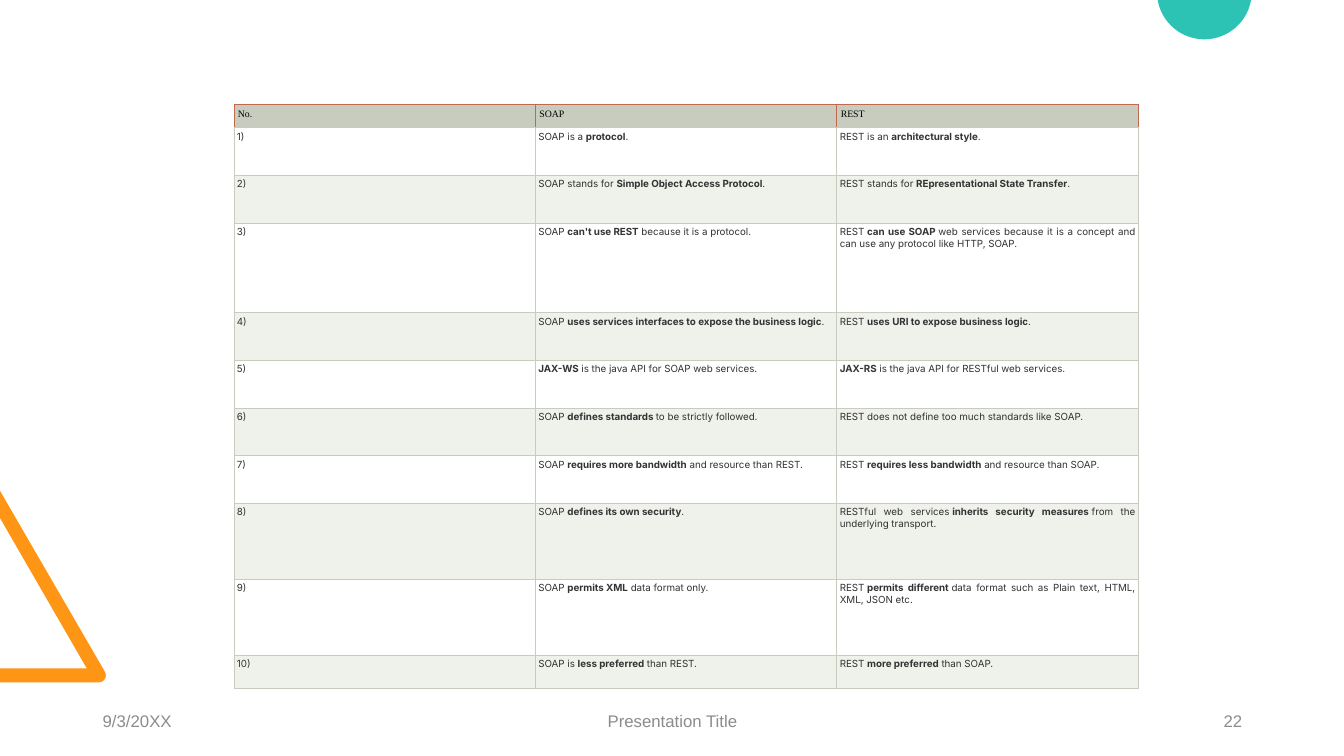
from dataclasses import dataclass
from math import cos, radians, sin

from lxml import etree
from pptx import Presentation
from pptx.dml.color import RGBColor
from pptx.enum.text import MSO_ANCHOR, PP_ALIGN
from pptx.oxml.ns import qn
from pptx.util import Inches, Pt

LEFT, MID, RIGHT, JUST = PP_ALIGN.LEFT, PP_ALIGN.CENTER, PP_ALIGN.RIGHT, PP_ALIGN.JUSTIFY
CENTRE = MSO_ANCHOR.MIDDLE

ORANGE = RGBColor(0xFF, 0x95, 0x14)
TEAL = RGBColor(0x2C, 0xC3, 0xB4)
GREY = RGBColor(0x8C, 0x8C, 0x8C)
SAGE = RGBColor(0xC7, 0xCC, 0xBE)
PALE = RGBColor(0xEF, 0xF1, 0xEB)
RUST = RGBColor(0xC0, 0x69, 0x4D)
WHITE = RGBColor(0xFF, 0xFF, 0xFF)
BLACK = RGBColor(0, 0, 0)
DARK = RGBColor(0x33, 0x33, 0x33)

# The slide is a grid of 1333 columns by 750 rows.
UNIT = Inches(0.01)
COLS, ROWS = 1333, 750
HARD = chr(160)  # no-break space

Point = tuple[float, float]


@dataclass(frozen=True)
class Note:
    text: str
    col: float
    wide: float
    align: PP_ALIGN


@dataclass(frozen=True)
class Look:
    """Format of one kind of table cell."""
    font: dict
    ink: RGBColor
    align: PP_ALIGN
    inset: float
    edges: dict


@dataclass(frozen=True)
class Pair:
    """One table row; bold words stand between asterisks."""
    high: float
    soap: str
    rest: str


NOTES = [
    Note("9/3/20XX", 92, 300, LEFT),
    Note("Presentation Title", 442, 450, MID),
    Note("22", 942, 300, RIGHT),
]

HEAD = Look({"name": "Times New Roman", "size": Pt(7)}, BLACK, LEFT, 4,
            {"lnL": RUST, "lnR": RUST, "lnT": RUST, "lnB": SAGE})
BODY = Look({"name": "Inter", "size": Pt(7)}, DARK, JUST, 3,
            dict.fromkeys(("lnL", "lnR", "lnT", "lnB"), SAGE))

LOW, TALL = 47.4, 75.1
PAIRS = [
    Pair(LOW, "SOAP is a *protocol*.", "REST is an *architectural style*."),
    Pair(LOW, "SOAP stands for *Simple Object Access Protocol*.",
         "REST stands for *REpresentational State Transfer*."),
    Pair(88.6, "SOAP *can't use REST* because it is a protocol.",
         "REST *can use SOAP* web services because it is a concept and "
         "can use any protocol like HTTP, SOAP."),
    Pair(LOW, "SOAP *uses services interfaces to expose the business logic*.",
         "REST *uses URI to expose business logic*."),
    Pair(LOW, "*JAX-WS* is the java API for SOAP web services.",
         "*JAX-RS* is the java API for RESTful web services."),
    Pair(LOW, "SOAP *defines standards *to be strictly followed.",
         "REST does not define too much standards like SOAP."),
    Pair(LOW, "SOAP *requires more bandwidth* and resource than REST.",
         "REST *requires less bandwidth* and resource than SOAP."),
    Pair(TALL, "SOAP *defines its own security*.",
         "RESTful web services *inherits security measures* from the "
         "underlying transport."),
    Pair(TALL, "SOAP *permits XML* data format only.",
         "REST *permits different* data format such as Plain text, HTML, "
         "XML, JSON etc."),
    Pair(33, "SOAP is *less preferred* than REST.",
         "REST *more preferred* than SOAP."),
]


def span(count: float) -> int:
    return round(count * UNIT)


def arc(mid: Point, size: float, start: int, stop: int, step: int) -> list[Point]:
    return [(mid[0] + size * cos(radians(turn)), mid[1] + size * sin(radians(turn)))
            for turn in range(start, stop + 1, step)]


def draw_form(slide, points: list[Point], fill: RGBColor) -> None:
    form = slide.shapes.build_freeform(
        span(points[0][0]), span(points[0][1]), scale=1.0)
    form.add_line_segments([(span(x), span(y)) for x, y in points[1:]], close=True)
    shape = form.convert_to_shape()
    shape.shadow.inherit = False
    shape.fill.solid()
    shape.fill.fore_color.rgb = fill
    shape.line.fill.background()


def style(font, values: dict, ink: RGBColor) -> None:
    for name, value in values.items():
        setattr(font, name, value)
    font.color.rgb = ink


def draw_note(slide, note: Note) -> None:
    box = slide.shapes.add_textbox(span(note.col), span(695), span(note.wide), span(40))
    frame = box.text_frame
    frame.word_wrap = True
    frame.vertical_anchor = CENTRE
    para = frame.paragraphs[0]
    para.alignment = note.align
    run = para.add_run()
    run.text = note.text
    style(run.font, {"name": "Arial", "size": Pt(12)}, GREY)


def harden(text: str) -> str:
    """Make the space at either end of a piece of text a no-break one."""
    core = text.strip(" ")
    head = HARD if text.startswith(" ") else ""
    tail = HARD if text.endswith(" ") else ""
    return head + core + tail


def edge(cell, side: str, ink: RGBColor) -> None:
    line = etree.SubElement(cell._tc.get_or_add_tcPr(), qn(f"a:{side}"), w=str(Pt(0.6)))
    fill = etree.SubElement(line, qn("a:solidFill"))
    etree.SubElement(fill, qn("a:srgbClr"), val=str(ink))


def fill_cell(cell, text: str, look: Look, fill: RGBColor) -> None:
    for side, ink in look.edges.items():
        edge(cell, side, ink)
    cell.fill.solid()
    cell.fill.fore_color.rgb = fill
    for side in ("left", "right", "top", "bottom"):
        setattr(cell, f"margin_{side}", span(look.inset))
    para = cell.text_frame.paragraphs[0]
    para.alignment = look.align
    for index, piece in enumerate(text.split("*")):
        if piece:
            run = para.add_run()
            run.text = harden(piece)
            style(run.font, look.font | {"bold": index % 2 == 1}, look.ink)


def draw_table(slide) -> None:
    highs = [22.8] + [pair.high for pair in PAIRS]
    lines = [("No.", "SOAP", "REST")]
    lines += [(f"{num})", pair.soap, pair.rest) for num, pair in enumerate(PAIRS, 1)]
    table = slide.shapes.add_table(
        len(lines), 3, span(232), span(104), span(897), span(sum(highs))).table
    for column in table.columns:
        column.width = span(897 / 3)
    for row, (high, texts) in enumerate(zip(highs, lines)):
        table.rows[row].height = span(high)
        look = BODY if row else HEAD
        fill = (PALE, WHITE)[row % 2] if row else SAGE
        for col, text in enumerate(texts):
            fill_cell(table.cell(row, col), text, look, fill)


def main() -> None:
    deck = Presentation()
    deck.slide_width, deck.slide_height = span(COLS), span(ROWS)
    slide = deck.slides.add_slide(deck.slide_layouts[6])
    corner = arc((98, 670), 7, -30, 90, 15)
    draw_form(slide, [(0, 677), (0, 663), (86, 663), (0, 514), (0, 487), *corner], ORANGE)
    draw_form(slide, arc((1194.5, -8), 47, 10, 170, 4), TEAL)
    for note in NOTES:
        draw_note(slide, note)
    draw_table(slide)
    deck.save("out.pptx")


if __name__ == "__main__":
    main()
